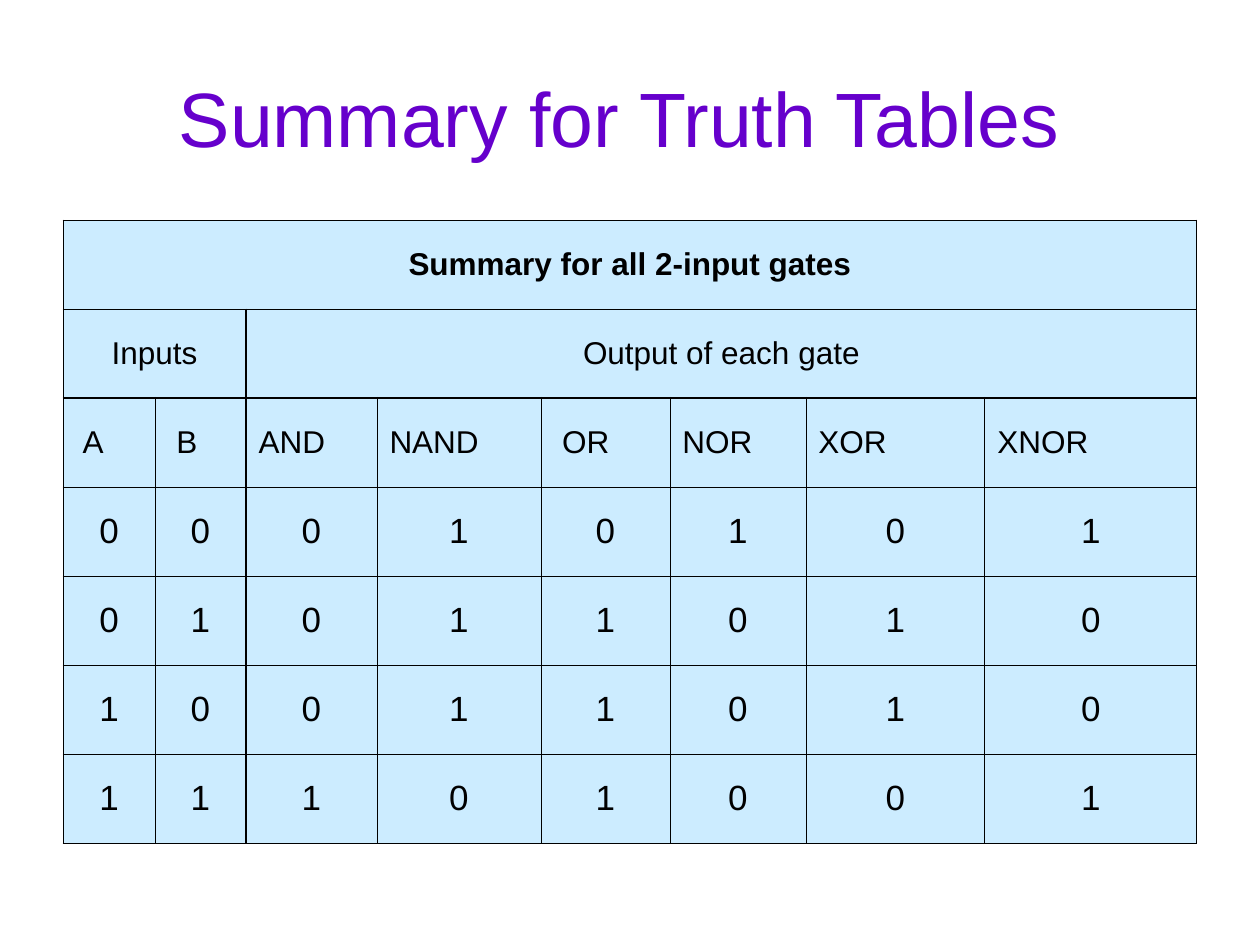
from dataclasses import dataclass

from lxml import etree
from pptx import Presentation
from pptx import util as u
from pptx.dml.color import RGBColor
from pptx.enum import text
from pptx.oxml.ns import qn

TITLE = "Summary for Truth Tables "
ROWS = [
    ["Summary for all 2-input gates"] + [""] * 7,
    ["Inputs", "", "Output of each gate"] + [""] * 5,
    [" A ", " B ", "AND", "NAND", " OR ", "NOR", "XOR", "XNOR"],
    list("00010101"),
    list("01011010"),
    list("10011010"),
    list("11101001"),
]
MERGES = [(0, 0, 7), (1, 0, 1), (1, 2, 7)]
HEADING_ROW, LABEL_ROW, FIRST_OUTPUT = 0, 2, 2

TITLE_AREA = (63, 38, 1134, 158)
TABLE_LEFT, TABLE_TOP, ROW_HEIGHT = 63, 220, 89
COLUMN_WIDTHS = [92, 91, 131, 164, 129, 136, 179, 212]
HANGING = 48


@dataclass(frozen=True)
class Theme:
    font: str = "Arial"
    title: str = "6600CC"
    ink: str = "000000"
    cell: str = "CCECFF"
    title_size: int = 44
    label_size: int = 18
    value_size: int = 20
    thin: float = 0.45
    thick: float = 1.47


THEME = Theme()


def px(count):
    return u.Emu(round(count * 914400 / 126))


def write(frame, words, size, color, align, bold=False):
    para = frame.paragraphs[0]
    para.alignment = align
    span = para.add_run()
    span.text = words
    span.font.name = THEME.font
    span.font.size = u.Pt(size)
    span.font.bold = bold
    span.font.color.rgb = RGBColor.from_string(color)
    return para


def add_border(cell, side, width):
    line = etree.SubElement(cell._tc.get_or_add_tcPr(), qn(f"a:ln{side}"), w=str(u.Pt(width)))
    fill = etree.SubElement(line, qn("a:solidFill"))
    etree.SubElement(fill, qn("a:srgbClr"), val=THEME.ink)


def style_cell(cell, row, column):
    below_heading = row > HEADING_ROW
    heavy = {
        "L": below_heading and column == FIRST_OUTPUT,
        "R": below_heading and column + cell.span_width == FIRST_OUTPUT,
        "T": row == LABEL_ROW,
        "B": row + 1 == LABEL_ROW,
    }
    for side, is_heavy in heavy.items():
        add_border(cell, side, THEME.thick if is_heavy else THEME.thin)
    cell.fill.solid()
    cell.fill.fore_color.rgb = RGBColor.from_string(THEME.cell)
    cell.vertical_anchor = text.MSO_ANCHOR.MIDDLE


def fill_cell(cell, words, row):
    size = THEME.value_size if row > LABEL_ROW else THEME.label_size
    align = text.PP_ALIGN.LEFT if row == LABEL_ROW else text.PP_ALIGN.CENTER
    para = write(cell.text_frame, words, size, THEME.ink, align, row == HEADING_ROW)
    properties = para._p.get_or_add_pPr()
    properties.set("marL", str(px(HANGING)))
    properties.set("indent", str(-px(HANGING)))


def add_title(page):
    box = page.shapes.add_textbox(*map(px, TITLE_AREA))
    frame = box.text_frame
    frame.word_wrap = True
    frame.vertical_anchor = text.MSO_ANCHOR.MIDDLE
    write(frame, TITLE, THEME.title_size, THEME.title, text.PP_ALIGN.CENTER)


def add_truth_table(page):
    area = (TABLE_LEFT, TABLE_TOP, sum(COLUMN_WIDTHS), ROW_HEIGHT * len(ROWS))
    table = page.shapes.add_table(len(ROWS), len(COLUMN_WIDTHS), *map(px, area)).table
    table.first_row = table.horz_banding = False
    for column, width in zip(table.columns, COLUMN_WIDTHS):
        column.width = px(width)
    for row in table.rows:
        row.height = px(ROW_HEIGHT)
    for row, first, last in MERGES:
        table.cell(row, first).merge(table.cell(row, last))
    for row, labels in enumerate(ROWS):
        for column, words in enumerate(labels):
            cell = table.cell(row, column)
            style_cell(cell, row, column)
            if words:
                fill_cell(cell, words, row)


def main():
    deck = Presentation()
    deck.slide_width, deck.slide_height = px(1260), px(945)
    page = deck.slides.add_slide(deck.slide_layouts[6])
    add_title(page)
    add_truth_table(page)
    deck.save("out.pptx")


if __name__ == "__main__":
    main()
